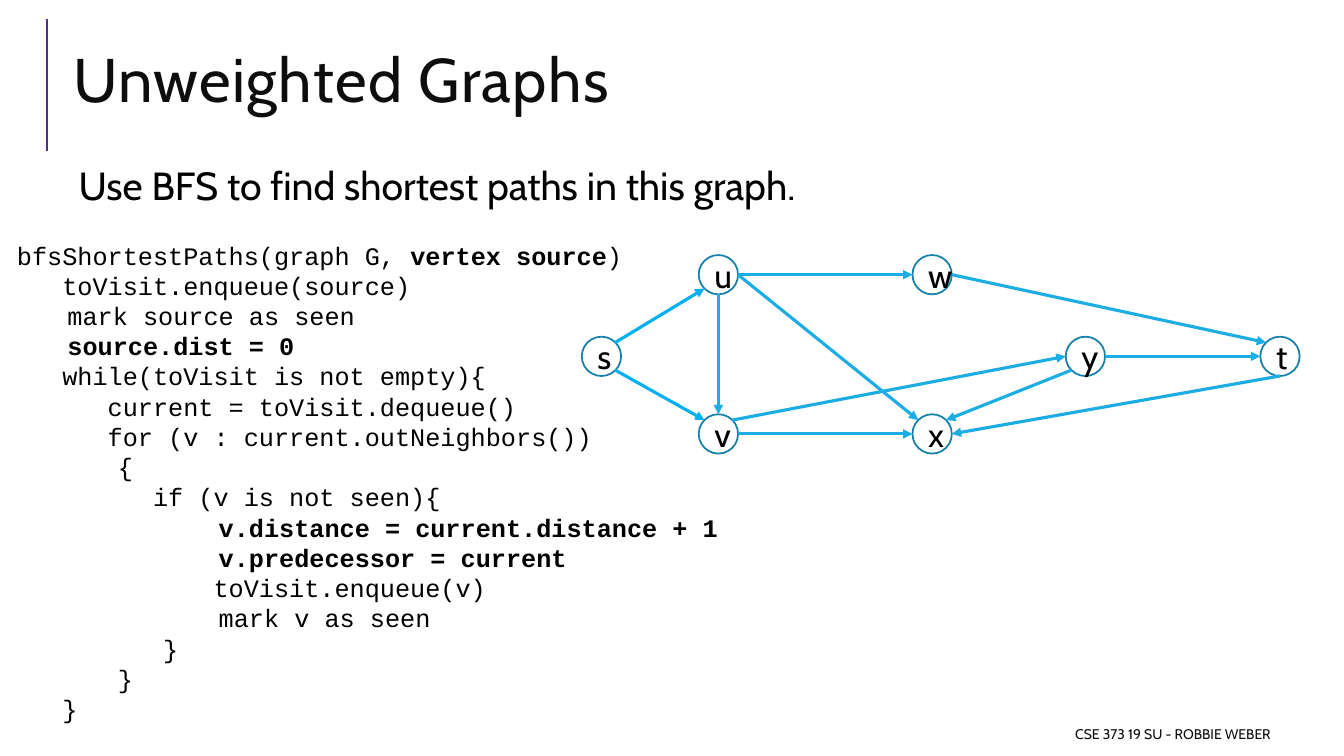
from lxml import etree
from pptx import Presentation
from pptx import util as u
from pptx.dml.color import RGBColor
from pptx.enum import shapes, text
from pptx.oxml.ns import qn

BODY_FONT, CODE_FONT = "Cabin", "Courier New"
BLUE, BRIGHT_BLUE, OUTLINE, PURPLE = "1CADE4", "00B0F0", "1580A9", "4C3282"
BLACK, NEAR_BLACK = "000000", "0D0D0D"

NODE_SIZE = 0.39
NODES = {
    "s": (0, 0.81), "t": (6.73, 0.81), "v": (1.16, 1.58), "u": (1.16, 0),
    "y": (4.8, 0.81), "w": (3.28, 0), "x": (3.28, 1.58),
}
# Points on a node's circle, as fractions of its size
SITES = {
    "left": (0, 0.5), "right": (1, 0.5), "bottom": (0.5, 1), "top": (0.5, 0),
    "top left": (0.15, 0.15), "top right": (0.85, 0.15),
    "bottom left": (0.15, 0.85), "bottom right": (0.85, 0.85),
}
EDGES = [
    ("s", "top right", "u", "bottom left", BRIGHT_BLUE),
    ("u", "bottom", "v", "top", BLUE),
    ("s", "bottom right", "v", "top left", BRIGHT_BLUE),
    ("u", "right", "x", "top left", BLUE),
    ("v", "right", "x", "left", BLUE),
    ("v", "top right", "y", "left", BLUE),
    ("u", "right", "w", "left", BLUE),
    ("w", "right", "t", "top left", BLUE),
    ("y", "right", "t", "left", BLUE),
    ("y", "bottom left", "x", "top right", BLUE),
    ("t", "bottom", "x", "right", BLUE),
]

# Each line is a list of (text, bold) runs
CODE = [
    [("bfsShortestPaths(graph G, ", False), ("vertex source", True), (")", False)],
    [("   toVisit.enqueue(source)", False)],
    [("\tmark source as seen", False)],
    [("\tsource.dist = 0", True)],
    [("   while(toVisit is not empty){", False)],
    [("      current = toVisit.dequeue()", False)],
    [("      for (v : current.outNeighbors())", False)],
    [("\t\t{", False)],
    [("         if (v is not seen){", False)],
    [("\t\t\t\tv.distance = current.distance + 1", True)],
    [("\t\t\t\tv.predecessor = current", True)],
    [("             toVisit.enqueue(v)", False)],
    [("\t\t\t\tmark v as seen", False)],
    [("\t\t   }", False)],
    [("\t\t}", False)],
    [("   }", False)],
]


def color(hex_string):
    return RGBColor.from_string(hex_string)


def set_font(font, name, size, hex_string):
    font.name, font.size = name, u.Pt(size)
    font.color.rgb = color(hex_string)


def add_text_frame(slide, left, top, width, height):
    box = slide.shapes.add_textbox(*map(u.Inches, (left, top, width, height)))
    box.text_frame.word_wrap = True
    return box.text_frame


def add_line(slide, start, end, hex_string, width, arrow=False):
    line = slide.shapes.add_connector(
        shapes.MSO_CONNECTOR.STRAIGHT, *map(u.Inches, (*start, *end)))
    line.line.color.rgb = color(hex_string)
    line.line.width = u.Pt(width)
    properties = line._element.spPr
    if arrow:
        etree.SubElement(properties.find(qn("a:ln")), qn("a:tailEnd"), type="triangle")
    etree.SubElement(properties, qn("a:effectLst"))


def add_title(slide, left, top, width, height):
    add_line(slide, (left - 0.16, top - 0.1), (left - 0.16, top + 1.21), PURPLE, 1.5)
    title = slide.shapes.title
    title.left, title.top, title.width, title.height = map(
        u.Inches, (left, top, width, height))
    frame = title.text_frame
    frame.text = "Unweighted Graphs"
    frame.auto_size = text.MSO_AUTO_SIZE.NONE
    frame.vertical_anchor = text.MSO_ANCHOR.MIDDLE
    paragraph = frame.paragraphs[0]
    paragraph.alignment = text.PP_ALIGN.LEFT
    paragraph.line_spacing = 0.8
    set_font(paragraph.font, BODY_FONT, 44, NEAR_BLACK)
    paragraph.runs[0]._r.get_or_add_rPr().set("spc", "100")


def add_task(slide, left, top, width, height):
    frame = add_text_frame(slide, left, top, width, height)
    frame.margin_left = u.Inches(0.15)
    frame.margin_top = frame.margin_right = frame.margin_bottom = u.Inches(0.05)
    paragraph = frame.paragraphs[0]
    paragraph.text = "Use BFS to find shortest paths in this graph."
    paragraph.line_spacing = 0.9
    set_font(paragraph.font, BODY_FONT, 28, BLACK)


def add_graph(slide, left, top):
    def site(node, side):
        return tuple(origin + offset + NODE_SIZE * fraction for origin, offset, fraction
                     in zip((left, top), NODES[node], SITES[side]))

    for name, (x, y) in NODES.items():
        node = slide.shapes.add_shape(shapes.MSO_SHAPE.OVAL, *map(
            u.Inches, (left + x, top + y, NODE_SIZE, NODE_SIZE)))
        node.shadow.inherit = False
        node.fill.background()
        node.line.color.rgb = color(OUTLINE)
        node.line.width = u.Pt(1.25)
        paragraph = node.text_frame.paragraphs[0]
        paragraph.text = name
        paragraph.alignment = text.PP_ALIGN.CENTER
        set_font(paragraph.font, BODY_FONT, 24, BLACK)

    for source, source_side, target, target_side, hex_string in EDGES:
        add_line(slide, site(source, source_side), site(target, target_side),
                 hex_string, 2.25, arrow=True)


def add_tab_stops(paragraph, gap, count):
    stops = etree.SubElement(paragraph._p.get_or_add_pPr(), qn("a:tabLst"))
    for number in range(1, count + 1):
        etree.SubElement(stops, qn("a:tab"), pos=str(u.Inches(gap * number)), algn="l")


def add_code(slide, left, top, width, height):
    frame = add_text_frame(slide, left, top, width, height)
    for index, line in enumerate(CODE):
        paragraph = frame.paragraphs[0] if index == 0 else frame.add_paragraph()
        add_tab_stops(paragraph, 0.5, 4)
        set_font(paragraph.font, CODE_FONT, 18, BLACK)
        for words, bold in line:
            run = paragraph.add_run()
            run.text = words
            run.font.bold = bold


def add_footer(slide, left, top, width, height):
    frame = add_text_frame(slide, left, top, width, height)
    frame.vertical_anchor = text.MSO_ANCHOR.MIDDLE
    paragraph = frame.paragraphs[0]
    paragraph.text = "CSE 373 19 SU - ROBBIE WEBER"
    paragraph.alignment = text.PP_ALIGN.RIGHT
    set_font(paragraph.font, BODY_FONT, 10, NEAR_BLACK)


def main():
    presentation = Presentation()
    presentation.slide_width = u.Inches(13.33)
    presentation.slide_height = u.Inches(7.5)
    slide = presentation.slides.add_slide(presentation.slide_layouts[5])
    add_title(slide, 0.63, 0.29, 12.23, 1.11)
    add_task(slide, 0.63, 1.6, 12.23, 0.61)
    add_graph(slide, 5.77, 2.53)
    add_footer(slide, 6.25, 7.13, 6.45, 0.3)
    add_code(slide, 0.07, 2.33, 8.19, 5.55)
    presentation.save("out.pptx")


if __name__ == "__main__":
    main()
